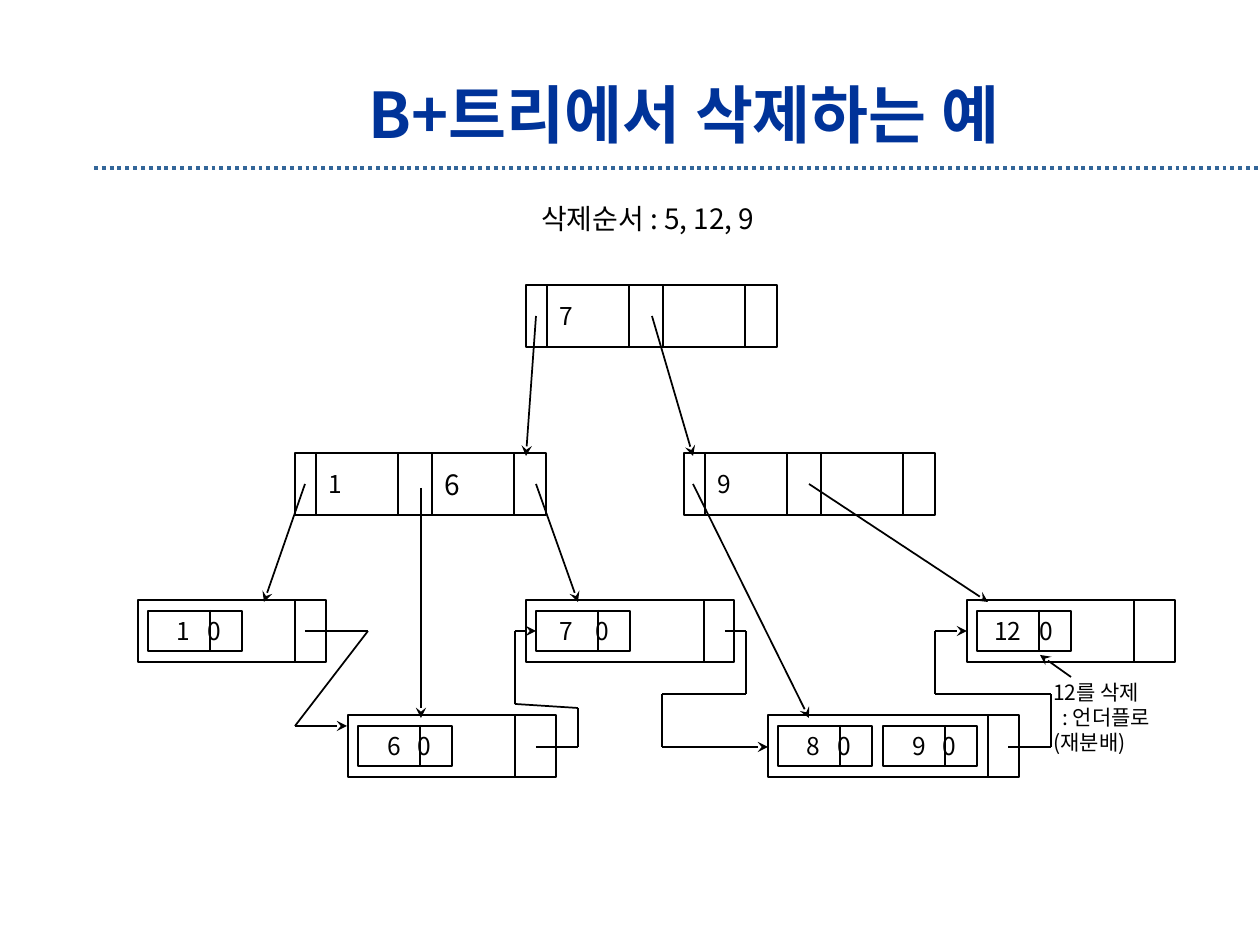
from pptx import Presentation
from pptx.dml.color import RGBColor
from pptx.enum.dml import MSO_LINE
from pptx.enum.shapes import MSO_CONNECTOR, MSO_SHAPE
from pptx.enum.text import MSO_ANCHOR, MSO_AUTO_SIZE, PP_ALIGN
from pptx.oxml.ns import qn
from pptx.util import Emu, Pt
from lxml import etree

RECT, STRAIGHT = MSO_SHAPE.RECTANGLE, MSO_CONNECTOR.STRAIGHT
MIDDLE, TOP = MSO_ANCHOR.MIDDLE, MSO_ANCHOR.TOP
LEFT, CENTER = PP_ALIGN.LEFT, PP_ALIGN.CENTER
COLORS = {"ink": "000000", "paper": "FFFFFF", "title": "003399", "rule": "336699"}
COLORS = {name: RGBColor.from_string(code) for name, code in COLORS.items()}
FONT = "Noto Sans CJK KR"
PX = 914400 / 126


def write(shape, lines, size, color="ink", bold=False, align=LEFT, anchor=MIDDLE):
    frame = shape.text_frame
    frame.text = "\n".join(lines)
    for attribute, value in {"word_wrap": True, "vertical_anchor": anchor,
                             "auto_size": MSO_AUTO_SIZE.NONE}.items():
        setattr(frame, attribute, value)
    for paragraph in frame.paragraphs:
        paragraph.alignment = align
        for run in paragraph.runs:
            for attribute, value in {"name": FONT, "size": Pt(size), "bold": bold}.items():
                setattr(run.font, attribute, value)
            run.font.color.rgb = COLORS[color]
            run.font._element.set("kern", "0")
            etree.SubElement(run.font._element, qn("a:ea"), typeface=FONT)
    return frame


def draw(kind, *place, color="ink", width=1):
    lengths = [Emu(round(value * PX)) for value in place]
    if kind == "box":
        shape = slide.shapes.add_shape(RECT, *lengths)
        shape.shadow.inherit = False
        shape.fill.solid()
        shape.fill.fore_color.rgb = COLORS["paper"]
    else:
        shape = slide.shapes.add_connector(STRAIGHT, *lengths)
    shape.line.color.rgb = COLORS[color]
    shape.line.width = Pt(width)
    if kind == "line":
        etree.SubElement(shape._element.spPr, qn("a:effectLst"))
    return shape


deck = Presentation()
deck.slide_width, deck.slide_height = Emu(round(1260 * PX)), Emu(round(945 * PX))
slide = deck.slides.add_slide(deck.slide_layouts[5])

# Title and dotted rule
title = slide.shapes.title
for side, value in {"left": 236, "top": 69, "width": 896, "height": 88}.items():
    setattr(title, side, Emu(round(value * PX)))
write(title, ["B+트리에서 삭제하는 예"], 36, "title", True, CENTER)
rule = draw("line", 94, 168, 1260, 168, color="rule", width=2.25)
rule.line.dash_style = MSO_LINE.ROUND_DOT

# Deletion order
order_box = slide.shapes.add_textbox(*[Emu(round(v * PX)) for v in (529, 195, 255, 47)])
write(order_box, ["삭제순서 : 5, 12, 9"], 16, anchor=TOP)

# Index nodes: left, top, keys as (text, size)
index_nodes = [
    (526, 285, [("7", 14), None]),
    (295, 453, [("1", 14), ("6", 16)]),
    (684, 453, [("9", 14), None]),
]
for left, top, keys in index_nodes:
    draw("box", left, top, 251, 62)
    for column, key in enumerate(keys):
        cell = draw("box", left + 21 + 116 * column, top, 82, 62)
        if key:
            write(cell, [key[0]], key[1])

# Leaf nodes: left, top, width, pointer divider, records as (key, key inset, zero offset)
leaf_nodes = [
    (138, 600, 188, 295, [("1", 29, 30)]),
    (348, 715, 208, 515, [("6", 29, 30)]),
    (526, 600, 208, 704, [("7", 23, 36)]),
    (768, 715, 251, 988, [("8", 29, 30), ("9", 29, 30)]),
    (967, 600, 208, 1134, [("12", 17, 45)]),
]
for left, top, width, divider, records in leaf_nodes:
    draw("box", left, top, width, 62)
    draw("line", divider, top, divider, top + 62)
    for number, (key, inset, zero_offset) in enumerate(records):
        record_left = left + 10 + 105 * number
        record = draw("box", record_left, top + 11, 94, 40)
        frame = write(record, [f"{key}\t0"], 14)
        frame.margin_left, frame.margin_right = Emu(round(inset * PX)), 0
        tabs = etree.SubElement(frame.paragraphs[0]._p.get_or_add_pPr(), qn("a:tabLst"))
        etree.SubElement(tabs, qn("a:tab"), pos=str(round(zero_offset * PX)), algn="l")
        draw("line", record_left + 62, top + 10, record_left + 62, top + 52)

# Pointers between nodes, leaf chain and note arrow; each ends in an arrowhead
pointers = [
    [(536, 316), (526, 456)],
    [(652, 316), (693, 456)],
    [(305, 484), (264, 602)],
    [(421, 488), (421, 718)],
    [(536, 484), (578, 602)],
    [(693, 484), (809, 718)],
    [(809, 484), (988, 602)],
    [(305, 631), (368, 631), (295, 726), (347, 726)],
    [(536, 747), (578, 747), (578, 708), (515, 704), (515, 631), (536, 631)],
    [(725, 631), (746, 631), (746, 694), (662, 694), (662, 747), (768, 747)],
    [(1008, 747), (1051, 747), (1051, 694), (935, 694), (935, 631), (967, 631)],
    [(1071, 677), (1040, 655)],
]
for points in pointers:
    for start, end in zip(points, points[1:]):
        segment = draw("line", *start, *end)
    etree.SubElement(segment.line._get_or_add_ln(), qn("a:tailEnd"), type="stealth")

# Underflow note
note_box = slide.shapes.add_textbox(*[Emu(round(v * PX)) for v in (1041, 673, 139, 88)])
note = write(note_box, ["12를 삭제", ": 언더플로", "(재분배)"], 12, anchor=TOP)
note.paragraphs[1]._p.get_or_add_pPr().set("marL", str(round(9 * PX)))

deck.save("out.pptx")
